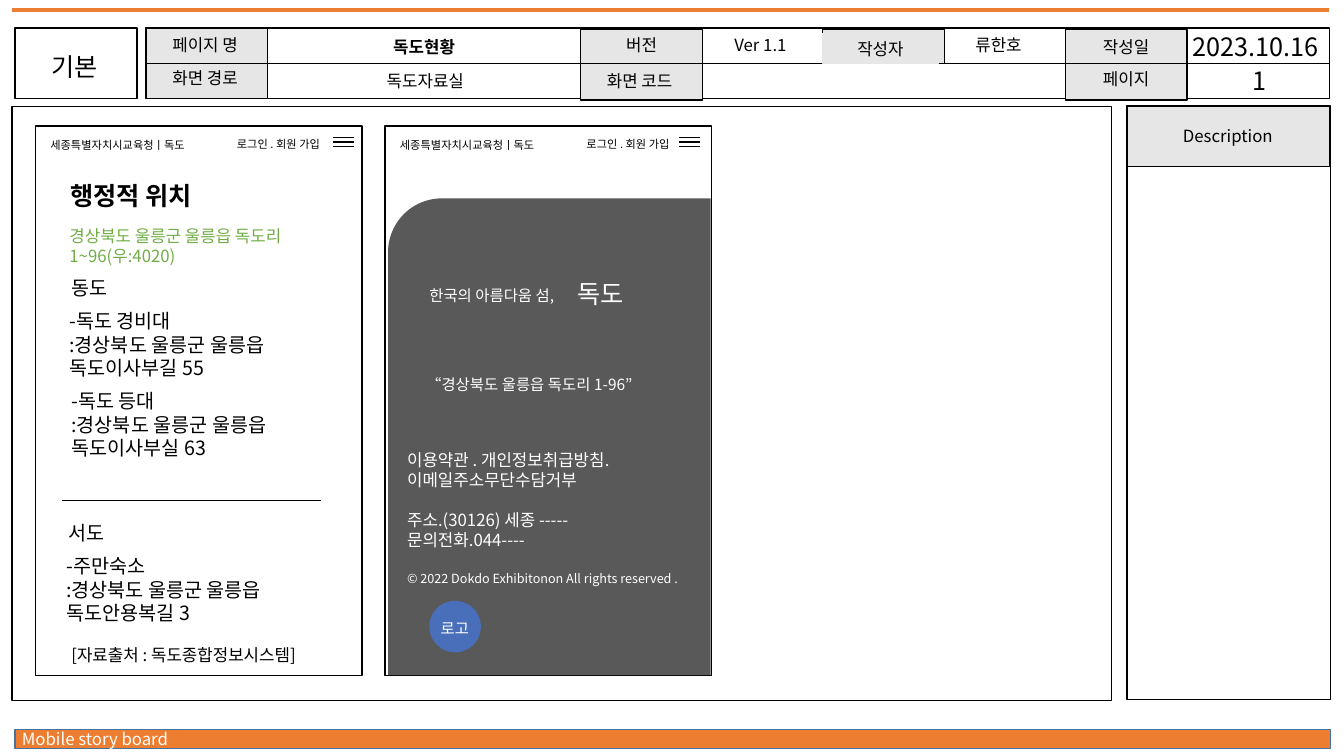
from lxml import etree
from pptx import Presentation
from pptx.dml.color import RGBColor
from pptx.enum import shapes, text
from pptx.oxml import ns
from pptx.util import Cm, Pt

FONT = "Noto Sans CJK KR"
COLORS = {"orange": "ED7D31", "edge": "43739E", "black": "000000", "gray": "E7E6E6",
          "dark": "595959", "blue": "496FBB", "green": "70AD47", "white": "FFFFFF"}
LEFT, CENTER, RIGHT = text.PP_ALIGN.LEFT, text.PP_ALIGN.CENTER, text.PP_ALIGN.RIGHT
SHAPE = shapes.MSO_SHAPE

PANELS = [
    ((0.38, 18.39, 33.15, 0.48), "orange", "edge"),
    ((0.38, 0.71, 3.07, 1.78), None, "black"),
    ((3.68, 0.71, 29.82, 1.78), None, "black"),
    ((0.3, 2.69, 27.71, 14.96), None, "black"),
    ((3.68, 0.71, 3.07, 1.78), "gray", "black"),
    ((14.63, 0.74, 3.07, 1.78), "gray", "black"),
    ((20.73, 0.74, 3.07, 0.86), "gray", "black"),
    ((26.85, 0.74, 3.07, 1.78), "gray", "black"),
    ((28.4, 2.67, 5.13, 14.96), None, "black"),
    ((28.4, 2.67, 5.11, 1.52), "gray", "black"),
]
RULES = [
    ((0.3, 0.25, 33.5), "orange", 3),
    ((3.68, 1.6, 33.5), "black", 0.5),
    ((1.55, 12.62, 8.1), "black", 0.5),
]
HEADER = [
    ("기본", (0.43, 1.17, 2.92, 1.07), 18),
    ("페이지 명", (3.71, 0.74, 2.92, 0.76), 12),
    ("화면 경로", (3.71, 1.57, 2.92, 0.76), 12),
    ("버전", (14.71, 0.76, 2.92, 0.76), 12),
    ("화면 코드", (14.66, 1.65, 2.92, 0.76), 12),
    ("작성일", (26.92, 0.81, 2.92, 0.76), 12),
    ("페이지", (26.92, 1.6, 2.92, 0.76), 12),
    ("Ver 1.1", (16.61, 0.76, 5.11, 0.76), 12),
    ("류한호", (22.61, 0.76, 5.11, 0.76), 12),
    ("2023.10.16", (29.08, 0.66, 5.11, 1.02), 18),
    ("독도자료실", (7.8, 1.65, 5.84, 0.76), 12),
    ("1", (29.97, 1.52, 3.53, 1.02), 18),
    ("Description", (28.75, 3.05, 4.39, 0.76), 12),
]
PAGE_NAME = ("독도현황", (7.77, 0.79, 5.84, 0.76))
AUTHOR = ("작성자", (20.73, 0.84, 2.92, 0.76))
FOOTER = ("Mobile story board", (0.3, 18.24, 8.13, 0.76))
PHONES = [(0.89, 7.49), (9.7, 7.42)]
TITLE = ("행정적 위치", (1.52, 4.42, 6.86, 1.02))
LOCATIONS = [
    (["경상북도 울릉군 울릉읍 독도리 1~96(우:4020)"], (1.5, 5.56, 7.26, 1.27), 12, "green"),
    (["동도"], (1.55, 6.83, 6.88, 0.86), 14, "black"),
    (["-독도 경비대", ":경상북도 울릉군 울릉읍 독도이사부길 55"], (1.5, 7.67, 6.88, 2.06), 14, "black"),
    (["-독도 등대", ":경상북도 울릉군 울릉읍 독도이사부실 63"], (1.55, 9.68, 6.88, 2.06), 14, "black"),
    (["서도"], (1.47, 13, 6.88, 0.86), 14, "black"),
    (["-주만숙소", ":경상북도 울릉군 울릉읍 독도안용복길 3"], (1.42, 13.84, 6.88, 2.06), 14, "black"),
    (["[자료출처 : 독도종합정보시스템]"], (1.55, 16.13, 6.88, 0.76), 12, "black"),
]
SLOGANS = [
    ("한국의 아름다움 섬,", (10.57, 7.09, 4.01, 0.74), 11),
    ("독도", (14.3, 6.88, 1.8, 1.02), 18),
    ("“경상북도 울릉읍 독도리 1-96”", (10.49, 9.32, 5.94, 0.74), 11),
]
POLICY = ["이용약관 . 개인정보취급방침.이메일주소무단수담거부",
          "주소.(30126) 세종 -----", "문의전화.044----"]
COPYRIGHT = ("© 2022 Dokdo Exhibitonon All rights reserved .", (10.01, 14.27, 7.65, 0.64))


def rgb(name):
    return RGBColor.from_string(COLORS[name])


def lengths(box):
    return [Cm(v) for v in box]


def write(tf, lines, size=12, color="black", align=LEFT, bold=False, wrap=True):
    for name, value in {"word_wrap": wrap, "auto_size": text.MSO_AUTO_SIZE.NONE,
                        "vertical_anchor": text.MSO_ANCHOR.TOP}.items():
        setattr(tf, name, value)
    for i, line in enumerate(lines):
        p = tf.add_paragraph() if i else tf.paragraphs[0]
        p.alignment = align
        r = p.add_run()
        r.text = line
        for name, value in {"name": FONT, "size": Pt(size), "bold": bold}.items():
            setattr(r.font, name, value)
        r.font.color.rgb = rgb(color)
        etree.SubElement(r.font._element, ns.qn("a:ea"), typeface=FONT)


def label(lines, box, *args, **fmt):
    tf = s.shapes.add_textbox(*lengths(box)).text_frame
    write(tf, lines, *args, **fmt)
    return tf


def panel(box, fill=None, line=None, width=1, kind=SHAPE.RECTANGLE):
    sp = s.shapes.add_shape(kind, *lengths(box))
    sp.shadow.inherit = False
    for part, color in ((sp.fill, fill), (sp.line.fill, line)):
        if color:
            part.solid()
            part.fore_color.rgb = rgb(color)
        else:
            part.background()
    if line:
        sp.line.width = Pt(width)
    return sp


def rule(x1, y, x2, color="black", width=1):
    c = s.shapes.add_connector(shapes.MSO_CONNECTOR.STRAIGHT, *lengths((x1, y, x2, y)))
    c.line.color.rgb = rgb(color)
    c.line.width = Pt(width)
    etree.SubElement(c._element.spPr, ns.qn("a:effectLst"))


prs = Presentation()
prs.slide_width, prs.slide_height = Cm(33.87), Cm(19.05)
s = prs.slides.add_slide(prs.slide_layouts[5])

title = s.shapes.title
for name, value in zip(("left", "top", "width", "height"), lengths(TITLE[1])):
    setattr(title, name, value)
write(title.text_frame, [TITLE[0]], 18, bold=True)

for box, fill, line in PANELS:
    panel(box, fill, line)
for ends, color, width in RULES:
    rule(*ends, color, width)

for words, box, size in HEADER:
    label([words], box, size, align=CENTER)
label([PAGE_NAME[0]], PAGE_NAME[1], bold=True, align=CENTER)
write(panel(AUTHOR[1], None, "gray", 0.75).text_frame, [AUTHOR[0]], align=CENTER)
label([FOOTER[0]], FOOTER[1], color="white")

for x, menu in PHONES:
    panel((x, 3.18, 8.23, 13.84), None, "black")
    label(["세종특별자치시교육청ㅣ독도"], (x + 0.13, 3.35, 4.75, 0.61), 8)
    label(["로그인 . 회원 가입 "], (x + 4.34, 3.33, 3.15, 0.61), 8, align=RIGHT)
    for i in range(3):
        rule(x + menu, 3.47 + 0.11 * i, x + menu + 0.53)

for lines, box, size, color in LOCATIONS:
    label(lines, box, size, color)

card = panel((9.78, 5, 8.13, 12.01), "dark", kind=SHAPE.ROUND_1_RECTANGLE)
card._element.spPr.find(ns.qn("a:xfrm")).set("flipH", "1")
for words, box, size in SLOGANS:
    label([words], box, size, "white", wrap=False)
policy = label(POLICY, (10.01, 11.2, 7.52, 2.82), color="white")
policy.paragraphs[1].space_before = Pt(14.5)
label([COPYRIGHT[0]], COPYRIGHT[1], 9, "white")
panel((10.82, 15.14, 1.3, 1.3), "blue", kind=SHAPE.OVAL)
label(["로고"], (10.54, 15.47, 1.85, 0.43), 11, "white", CENTER)

prs.save("out.pptx")
